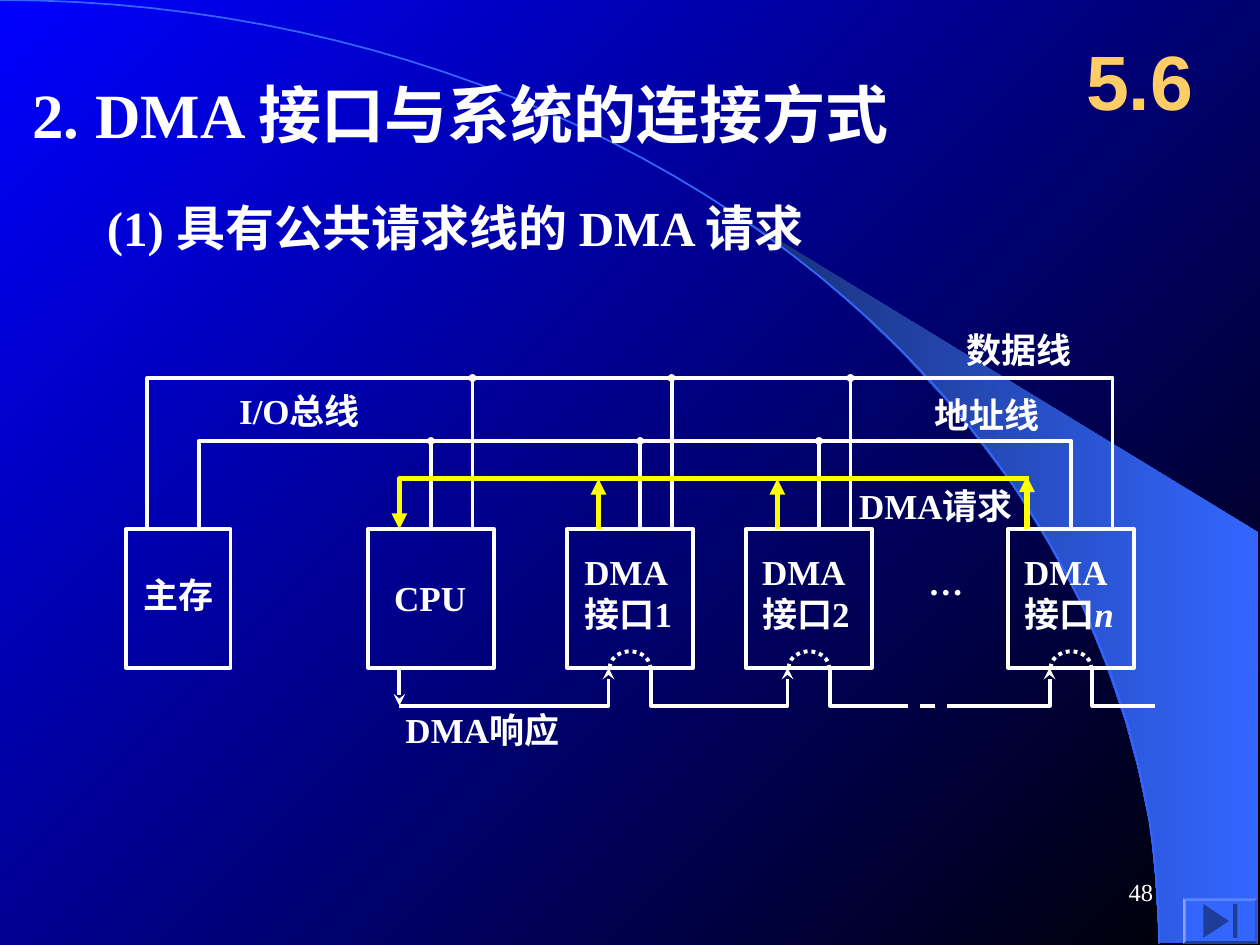
import math
from dataclasses import dataclass

from lxml import etree
from pptx import Presentation
from pptx.dml.color import RGBColor
from pptx.enum import dml, shapes, text
from pptx.oxml import ns
from pptx.util import Inches, Pt

HUES = {
    "white": "FFFFFF",
    "yellow": "FFFF00",
    "gold": "FFCC66",
    "blue": "3366FF",
    "navy": "182F76",
    "deep": "0000FF",
    "black": "000000",
    "light": "5C85FF",
    "pale": "85A3FF",
    "dim": "2952CC",
    "dark": "1F3D99",
}
ROMAN = "Times New Roman"
TOP, BASE, LOW = 4.2, 5.3, 5.6
DATA, ADDR, ASK = 3, 3.5, 3.8
CPU = 2.92
UNITS = (4.5, 5.92, 8)


@dataclass
class Wire:
    pts: list
    tip: str = ""
    hue: str = "white"
    width: float = 2.25
    dash: object = None


@dataclass
class Label:
    box: tuple
    paras: list
    size: int = 20
    face: str = ROMAN
    hue: str = "white"
    bold: bool = True
    align: object = None


def tint(name: str) -> RGBColor:
    return RGBColor.from_string(HUES[name])


def blend(fill, first: str, last: str, angle: int) -> None:
    fill.gradient()
    fill.gradient_angle = angle
    for stop, name in zip(fill.gradient_stops, (first, last)):
        stop.color.rgb = tint(name)


def paint(item, hue: str) -> None:
    item.shadow.inherit = False
    item.fill.solid()
    item.fill.fore_color.rgb = tint(hue)
    item.line.fill.background()


def trace(slide, pts: list, close: bool = False):
    spots = [(Inches(x), Inches(y)) for x, y in pts]
    pen = slide.shapes.build_freeform(*spots[0], scale=1.0)
    pen.add_line_segments(spots[1:], close=close)
    form = pen.convert_to_shape()
    form.shadow.inherit = False
    return form


def bow(mid: float, base: float, wide: float, high: float, start: int, end: int) -> list:
    steps = 48
    turns = [math.radians(start + (end - start) * i / steps) for i in range(steps + 1)]
    return [(mid + wide * math.cos(t), base - high * math.sin(t)) for t in turns]


def draw_wire(slide, wire: Wire) -> None:
    if len(wire.pts) == 2:
        ends = [Inches(v) for spot in wire.pts for v in spot]
        item = slide.shapes.add_connector(shapes.MSO_CONNECTOR.STRAIGHT, *ends)
        etree.SubElement(item._element.spPr, ns.qn("a:effectLst"))
    else:
        item = trace(slide, wire.pts)
        item.fill.background()
    item.line.color.rgb = tint(wire.hue)
    item.line.width = Pt(wire.width)
    if wire.dash:
        item.line.dash_style = wire.dash
    if wire.tip:
        stroke = item.line._get_or_add_ln()
        tail = etree.SubElement(stroke, ns.qn("a:tailEnd"), type=wire.tip)
        if wire.tip == "oval":
            tail.set("w", "sm")
            tail.set("len", "sm")


def draw_box(slide, left: float, width: float = 1) -> None:
    box = slide.shapes.add_shape(
        shapes.MSO_SHAPE.RECTANGLE, Inches(left), Inches(TOP), Inches(width), Inches(BASE - TOP)
    )
    box.shadow.inherit = False
    box.fill.background()
    box.line.color.rgb = tint("white")
    box.line.width = Pt(2.25)


def draw_label(slide, label: Label) -> None:
    frame = slide.shapes.add_textbox(*map(Inches, label.box)).text_frame
    frame.word_wrap = True
    if label.align:
        frame.vertical_anchor = text.MSO_ANCHOR.MIDDLE
    for i, words in enumerate(label.paras):
        para = frame.add_paragraph() if i else frame.paragraphs[0]
        if label.align:
            para.alignment = label.align
        for word in words:
            run = para.add_run()
            run.text = word
            font = run.font
            font.name = label.face
            font.size = Pt(label.size)
            font.bold = label.bold
            font.color.rgb = tint(label.hue)
            if word == "n":
                font.italic = True


def draw_back(slide) -> None:
    blend(slide.background.fill, "deep", "black", 315)
    beam = [
        (9.2, 7.48), (9.99, 7.49), (9.99, 4.23), (5.89, 1.73), (6.24, 1.99), (6.53, 2.22),
        (6.85, 2.5), (7.16, 2.8), (7.62, 3.3), (8.03, 3.84), (8.32, 4.31), (8.58, 4.79),
        (8.78, 5.28), (8.93, 5.72), (9.03, 6.09), (9.13, 6.56), (9.17, 6.96),
    ]
    ray = trace(slide, beam, True)
    blend(ray.fill, "navy", "blue", 0)
    ray.line.fill.background()
    draw_wire(slide, Wire(bow(0, 7.49, 9.2, 7.49, 90, 0), hue="blue", width=1))


def draw_next(slide) -> None:
    left, top, right, foot, rim = 9.39, 7.13, 9.98, 7.49, 0.02
    key = slide.shapes.add_shape(
        shapes.MSO_SHAPE.ACTION_BUTTON_END,
        Inches(left), Inches(top), Inches(right - left), Inches(foot - top),
    )
    paint(key, "blue")
    outer = [(left, top), (right, top), (right, foot), (left, foot)]
    inner = [
        (left + rim, top + rim), (right - rim, top + rim),
        (right - rim, foot - rim), (left + rim, foot - rim),
    ]
    for i, hue in enumerate(("light", "dim", "dark", "pale")):
        j = (i + 1) % 4
        paint(trace(slide, [outer[i], outer[j], inner[j], inner[i]], True), hue)


def list_wires() -> list:
    ask = CPU + 0.25
    one, two, last = [(x + 0.33, x + 0.67) for x in UNITS]
    wires = [
        Wire([(ask, BASE), (ask, LOW)], "stealth"),
        Wire([(ask, LOW), (one[0], LOW), (one[0], BASE)], "stealth"),
        Wire([(one[1], BASE), (one[1], LOW), (two[0], LOW), (two[0], BASE)], "stealth"),
        Wire([(two[1], BASE), (two[1], LOW), (7.08, LOW)]),
        Wire([(7.08, LOW), (7.58, LOW)], dash=dml.MSO_LINE.DASH),
        Wire([(7.58, LOW), (last[0], LOW), (last[0], BASE)], "stealth"),
        Wire([(last[1], BASE), (last[1], LOW), (9.17, LOW)]),
    ]
    for left, right, level in ((1.17, 8.83, DATA), (1.58, 8.5, ADDR)):
        wires.append(Wire([(left, TOP), (left, level), (right, level), (right, TOP)]))
    for left, shift in ((CPU, 0.5), (UNITS[0], 0.58), (UNITS[1], 0.58)):
        for x, level in ((left + 0.83, DATA), (left + shift, ADDR)):
            wires.append(Wire([(x, TOP), (x, level)], "oval"))
    for left in UNITS:
        arch = bow(left + 0.5, BASE, 0.16, 0.13, 180, 0)
        wires.append(Wire(arch, dash=dml.MSO_LINE.ROUND_DOT))
    wires.append(Wire([(8.17, ASK), (ask, ASK), (ask, TOP)], "triangle", "yellow", 3))
    for x, level in ((4.75, ASK), (6.17, ASK), (8.15, 3.78)):
        wires.append(Wire([(x, TOP), (x, level)], "triangle", "yellow", 3))
    return wires


LABELS = [
    Label((0.16, 0.55, 7.3, 0.7), [["2. DMA 接口与系统的连接方式"]], 36),
    Label((0.75, 1.52, 6.58, 0.57), [["(1) 具有公共请求线的 DMA 请求"]], 28),
    Label((4.54, 4.32, 1.1, 0.77), [["DMA"], ["接口1"]]),
    Label((5.95, 4.32, 1.1, 0.77), [["DMA"], ["接口2"]]),
    Label((8.03, 4.32, 1.1, 0.77), [["DMA"], ["接口", "n"]]),
    Label((3.03, 4.53, 0.9, 0.44), [["CPU"]]),
    Label((1.04, 4.5, 0.9, 0.44), [["主存"]]),
    Label((7.27, 4.4, 0.6, 0.44), [["…"]]),
    Label((3.12, 5.57, 1.6, 0.44), [["DMA响应"]]),
    Label((1.8, 3.04, 1.4, 0.44), [["I/O总线"]]),
    Label((7.57, 2.56, 1.2, 0.44), [["数据线"]]),
    Label((7.32, 3.07, 1.2, 0.44), [["地址线"]]),
    Label((6.72, 3.8, 1.6, 0.44), [["DMA请求"]]),
    Label((8.42, 0.17, 1.25, 0.92), [["5.6"]], 44, "Arial", "gold",
          align=text.PP_ALIGN.CENTER),
    Label((7.17, 6.83, 2.08, 0.5), [["48"]], 14, bold=False,
          align=text.PP_ALIGN.RIGHT),
]


def main() -> None:
    deck = Presentation()
    deck.slide_width, deck.slide_height = Inches(10), Inches(7.5)
    slide = deck.slides.add_slide(deck.slide_layouts[6])
    draw_back(slide)
    draw_box(slide, 1, 0.83)
    for left in (CPU, *UNITS):
        draw_box(slide, left)
    for wire in list_wires():
        draw_wire(slide, wire)
    for label in LABELS:
        draw_label(slide, label)
    draw_next(slide)
    deck.save("out.pptx")


if __name__ == "__main__":
    main()
